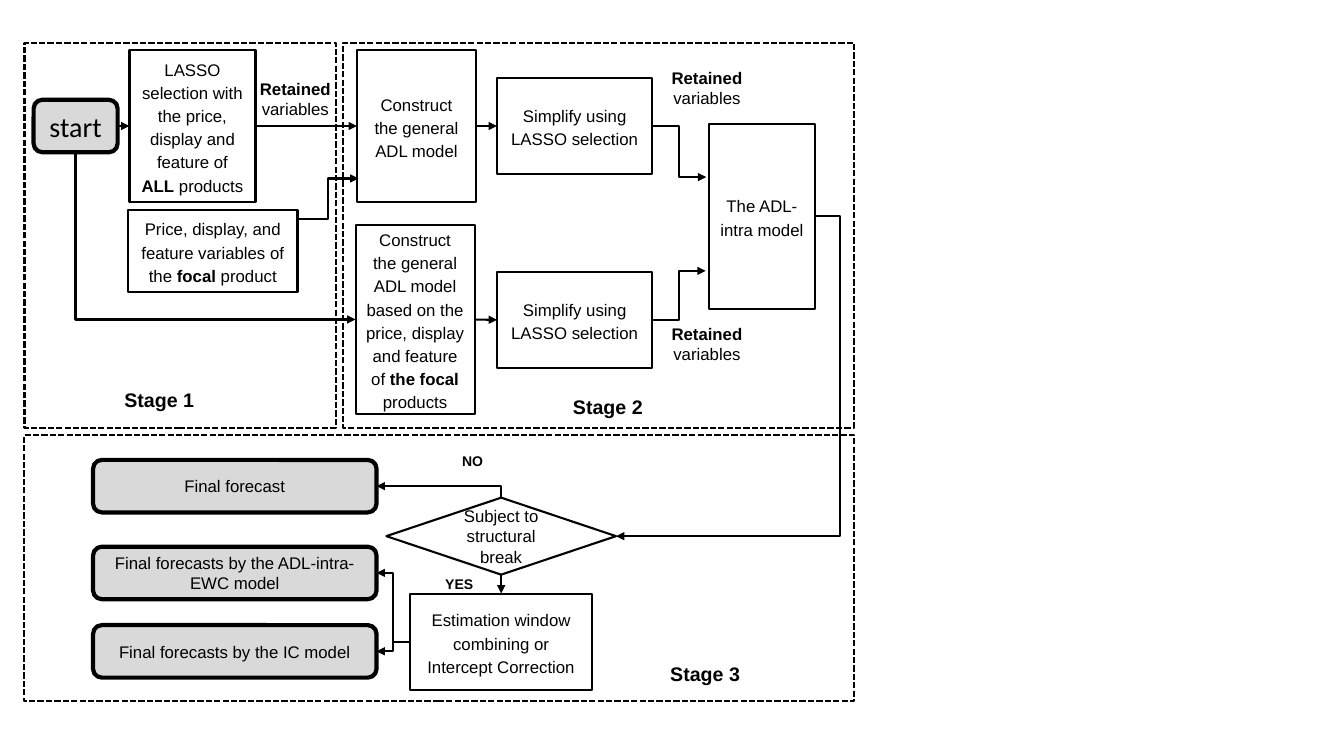
import lxml.etree
import pptx
import pptx.dml.color
import pptx.enum.dml
import pptx.enum.shapes
import pptx.enum.text
import pptx.oxml.ns
import pptx.util

Pt = pptx.util.Pt
qn = pptx.oxml.ns.qn
color = pptx.dml.color.RGBColor.from_string
SHAPE = pptx.enum.shapes.MSO_SHAPE
CONNECTOR = pptx.enum.shapes.MSO_CONNECTOR
TOP, LEFT, BOTTOM, RIGHT = range(4)
BLACK, WHITE, GREY = "000000", "FFFFFF", "D9D9D9"

deck = pptx.Presentation()
deck.slide_width, deck.slide_height = Pt(960), Pt(540)
slide = deck.slides.add_slide(deck.slide_layouts[6])


def add_block(preset, box, text="", fill=None, line=0, size=12, font="Arial", spaced=False):
    """Add a shape with centred text; words between asterisks are bold."""
    block = slide.shapes.add_shape(preset, *map(Pt, box))
    block.shadow.inherit = False
    if fill:
        block.fill.solid()
        block.fill.fore_color.rgb = color(fill)
    else:
        block.fill.background()
    if line:
        block.line.color.rgb = color(BLACK)
        block.line.width = Pt(line)
    else:
        block.line.fill.background()
    frame = block.text_frame
    frame.word_wrap = True
    frame.vertical_anchor = pptx.enum.text.MSO_ANCHOR.MIDDLE
    paragraph = frame.paragraphs[0]
    paragraph.alignment = pptx.enum.text.PP_ALIGN.CENTER
    if spaced:
        paragraph.line_spacing = 1.15
        paragraph.space_after = Pt(10)
    for index, part in enumerate(text.split("*")):
        if part:
            run = paragraph.add_run()
            run.text = part
            run.font.name, run.font.size = font, Pt(size)
            run.font.bold = index % 2 == 1
            run.font.color.rgb = color(BLACK)
    return block


def add_arrow(kind, begin, end, arrowhead="tailEnd", preset=None, bend=None):
    """Join two ends, each a (shape, side) pair or an (x, y) point in points."""
    glued = [not isinstance(stop[0], (int, float)) for stop in (begin, end)]
    points = [(0, 0) if is_glued else stop for is_glued, stop in zip(glued, (begin, end))]
    arrow = slide.shapes.add_connector(kind, *(Pt(value) for point in points for value in point))
    if glued[0]:
        arrow.begin_connect(*begin)
    if glued[1]:
        arrow.end_connect(*end)
    arrow.line.color.rgb = color(BLACK)
    arrow.line.width = Pt(1.5)
    properties = arrow._element.spPr
    lxml.etree.SubElement(properties.find(qn("a:ln")), qn("a:" + arrowhead), type="triangle")
    lxml.etree.SubElement(properties, qn("a:effectLst"))
    geometry = properties.find(qn("a:prstGeom"))
    if preset:
        geometry.set("prst", preset)
    if bend is not None:
        lxml.etree.SubElement(geometry.find(qn("a:avLst")), qn("a:gd"),
                              name="adj1", fmla=f"val {bend}")


# Stage frames and their names
for frame_box, name_corner, name in [
    ((17.5, 30.5, 222.5, 275), (67, 270.5), "*Stage 1*"),
    ((245, 30.5, 365, 275), (387.5, 276), "*Stage 2*"),
    ((17.5, 310.5, 592.5, 190.5), (457, 466.5), "*Stage 3*"),
]:
    stage = add_block(SHAPE.RECTANGLE, frame_box, line=1.5)
    stage.line.dash_style = pptx.enum.dml.MSO_LINE.SQUARE_DOT
    add_block(SHAPE.ROUNDED_RECTANGLE, (*name_corner, 93.5, 29.5), name, size=14)

# Modelling steps
steps = {}
for key, box, text in [
    ("select", (92.5, 35.5, 90, 109),
     "LASSO selection with the price, display and feature of *ALL* products"),
    ("focal variables", (91.5, 150, 121, 58.5),
     "Price, display, and feature variables of the *focal* product"),
    ("general", (255, 35.5, 85, 109), "Construct the general ADL model"),
    ("focal general", (254, 160.5, 85, 135.5),
     "Construct the general ADL model based on the price, display and feature "
     "of *the focal* products"),
    ("simplify", (355, 55.5, 111, 69), "Simplify using LASSO selection"),
    ("focal simplify", (355, 194, 111, 69), "Simplify using LASSO selection"),
    ("intra", (506.5, 88.5, 75.5, 132), "The ADL-intra model"),
    ("correct", (293, 424, 130, 69), "Estimation window combining or Intercept Correction"),
]:
    steps[key] = add_block(SHAPE.RECTANGLE, box, text, WHITE, 1.5, spaced=True)

# Start, decision and outcomes
start = add_block(SHAPE.ROUNDED_RECTANGLE, (24, 71.25, 60, 37.5), "start", GREY, 3, 20, "Calibri")
decision = add_block(SHAPE.DIAMOND, (276, 355.5, 164, 55), "Subject to structural break",
                     WHITE, 1.5)
stable, window, intercept = [
    add_block(SHAPE.ROUNDED_RECTANGLE, (66.5, top, 202.5, 37.5), text, GREY, 3)
    for top, text in [
        (328.5, "Final forecast"),
        (390.5, "Final forecasts by the ADL-intra-EWC model"),
        (446.5, "Final forecasts by the IC model"),
    ]
]

# Arrow labels
for left, top in [(160.5, 56), (454.5, 48), (454.5, 231)]:
    add_block(SHAPE.OVAL, (left, top, 101, 29.5), "*Retained* variables")
for left, top, answer in [(317, 321.5, "*NO*"), (307.5, 409.5, "*YES*")]:
    add_block(SHAPE.RECTANGLE, (left, top, 41, 15), answer, size=10)

# Straight arrows
for begin, end in [
    ((start, RIGHT), (steps["select"], LEFT)),
    ((steps["select"], RIGHT), (steps["general"], LEFT)),
    ((steps["general"], RIGHT), (steps["simplify"], LEFT)),
    ((steps["focal general"], RIGHT), (steps["focal simplify"], LEFT)),
    ((decision, BOTTOM), (steps["correct"], TOP)),
]:
    add_arrow(CONNECTOR.STRAIGHT, begin, end)

# Arrows with two bends
for begin, end, bend in [
    ((212.5, 156.5), (256, 127.5), 50000),
    ((steps["simplify"], RIGHT), (504.5, 126.5), 50000),
    ((steps["focal simplify"], RIGHT), (504, 193.5), 50000),
    ((steps["intra"], RIGHT), (decision, RIGHT), -12700),
    ((steps["correct"], LEFT), (window, RIGHT), 50000),
    ((steps["correct"], LEFT), (intercept, RIGHT), 50000),
]:
    add_arrow(CONNECTOR.ELBOW, begin, end, bend=bend)

# Arrows with one bend, laid from their pointed end
for begin, end in [
    ((steps["focal general"], LEFT), (start, BOTTOM)),
    ((stable, RIGHT), (decision, TOP)),
]:
    add_arrow(CONNECTOR.ELBOW, begin, end, "headEnd", "bentConnector2")

deck.save("out.pptx")
